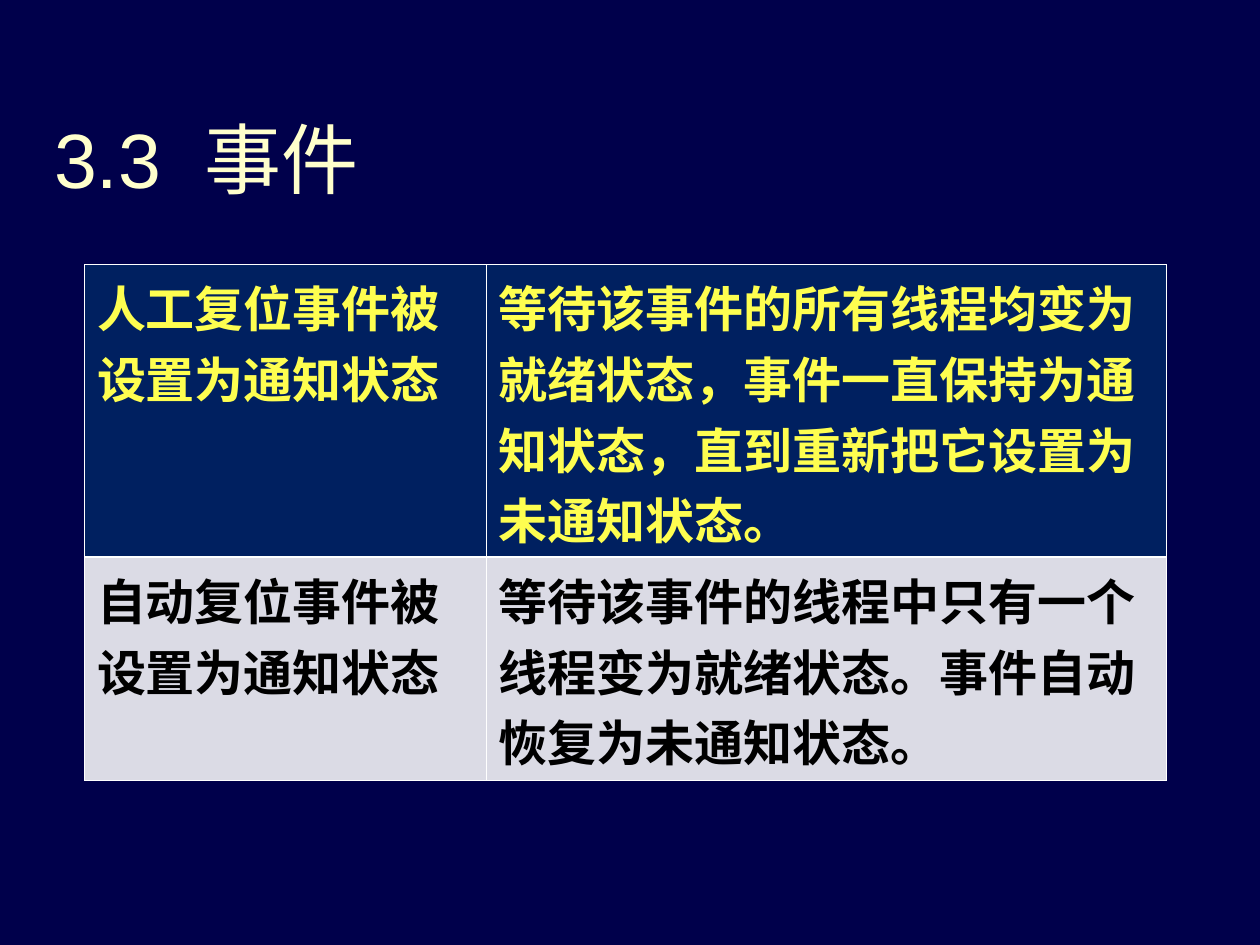
from dataclasses import dataclass

from lxml.etree import SubElement
from pptx import Presentation
from pptx.dml.color import RGBColor as RGB
from pptx.enum.text import MSO_ANCHOR as Anchor
from pptx.oxml.ns import qn
from pptx.util import Inches, Pt


@dataclass(frozen=True)
class Theme:
    bg: str = "00004B"
    title: str = "FFFFCC"
    head_text: str = "FEFE50"
    head_fill: str = "002060"
    body_text: str = "000000"
    body_fill: str = "DBDBE5"
    border: str = "FFFFFF"
    latin: str = "Arial"
    cjk: str = "Noto Sans CJK SC"
    title_size: float = 44
    cell_size: float = 28
    thin: float = 0.45
    thick: float = 1.47


T = Theme()
W, H = Inches(10), Inches(7.5)
TITLE_BOX = (0.035, 0.105, 0.945, 0.111)  # shares of the slide
TABLE_BOX = (0.067, 0.28, 0.859, 0.546)
COLS = (3.19, 5.4)  # relative column widths
ROWS = (2.32, 1.77)  # relative row heights
CELLS = (
    ("人工复位事件被设置为通知状态",
     "等待该事件的所有线程均变为就绪状态，事件一直保持为通知状态，直到重新把它设置为未通知状态。"),
    ("自动复位事件被设置为通知状态",
     "等待该事件的线程中只有一个线程变为就绪状态。事件自动恢复为未通知状态。"),
)


def place(box):
    x, y, w, h = box
    return int(x * W), int(y * H), int(w * W), int(h * H)


def add_text(p, text, *, size, color, font, bold=False, spacing=0):
    r = p.add_run()
    r.text = text
    r.font.size, r.font.bold, r.font.name = Pt(size), bold, font
    r.font.color.rgb = RGB.from_string(color)
    rPr = r.font._element
    SubElement(rPr, qn("a:ea"), typeface=T.cjk)
    if spacing:
        rPr.set("spc", str(int(spacing * 100)))


def set_border(cell, side, width):
    ln = SubElement(cell._tc.get_or_add_tcPr(), qn(f"a:ln{side}"), w=str(int(Pt(width))))
    fill = SubElement(ln, qn("a:solidFill"))
    SubElement(fill, qn("a:srgbClr"), val=T.border)


def add_title(s, box):
    tf = s.shapes.add_textbox(*place(box)).text_frame
    tf.word_wrap = True
    tf.vertical_anchor = Anchor.BOTTOM
    tf.margin_left = Inches(0.08)
    tf.margin_top = tf.margin_bottom = 0
    style = dict(size=T.title_size, color=T.title, font=T.latin)
    p = tf.paragraphs[0]
    add_text(p, "3.3", **style)
    add_text(p, " ", spacing=12.2, **style)  # widened gap after the number
    add_text(p, "事件", **style)


def add_event_table(s, box):
    x, y, w, h = place(box)
    table = s.shapes.add_table(len(ROWS), len(COLS), x, y, w, h).table
    for col, share in zip(table.columns, COLS):
        col.width = int(w * share / sum(COLS))
    for row, share in zip(table.rows, ROWS):
        row.height = int(h * share / sum(ROWS))

    looks = ((T.head_text, T.head_fill), (T.body_text, T.body_fill))
    for i, (texts, (color, fill)) in enumerate(zip(CELLS, looks)):
        for j, text in enumerate(texts):
            cell = table.cell(i, j)
            cell.margin_top, cell.margin_bottom = Inches(0.05), Inches(0.02)
            # The line between the two rows is the thick one
            inner = "B" if i == 0 else "T"
            for side in "LRTB":
                set_border(cell, side, T.thick if side == inner else T.thin)
            cell.fill.solid()
            cell.fill.fore_color.rgb = RGB.from_string(fill)
            add_text(cell.text_frame.paragraphs[0], text, size=T.cell_size,
                     color=color, font=T.cjk, bold=True)


def main():
    prs = Presentation()
    prs.slide_width, prs.slide_height = W, H
    s = prs.slides.add_slide(prs.slide_layouts[6])
    s.background.fill.solid()
    s.background.fill.fore_color.rgb = RGB.from_string(T.bg)
    add_title(s, TITLE_BOX)
    add_event_table(s, TABLE_BOX)
    prs.save("out.pptx")


if __name__ == "__main__":
    main()
